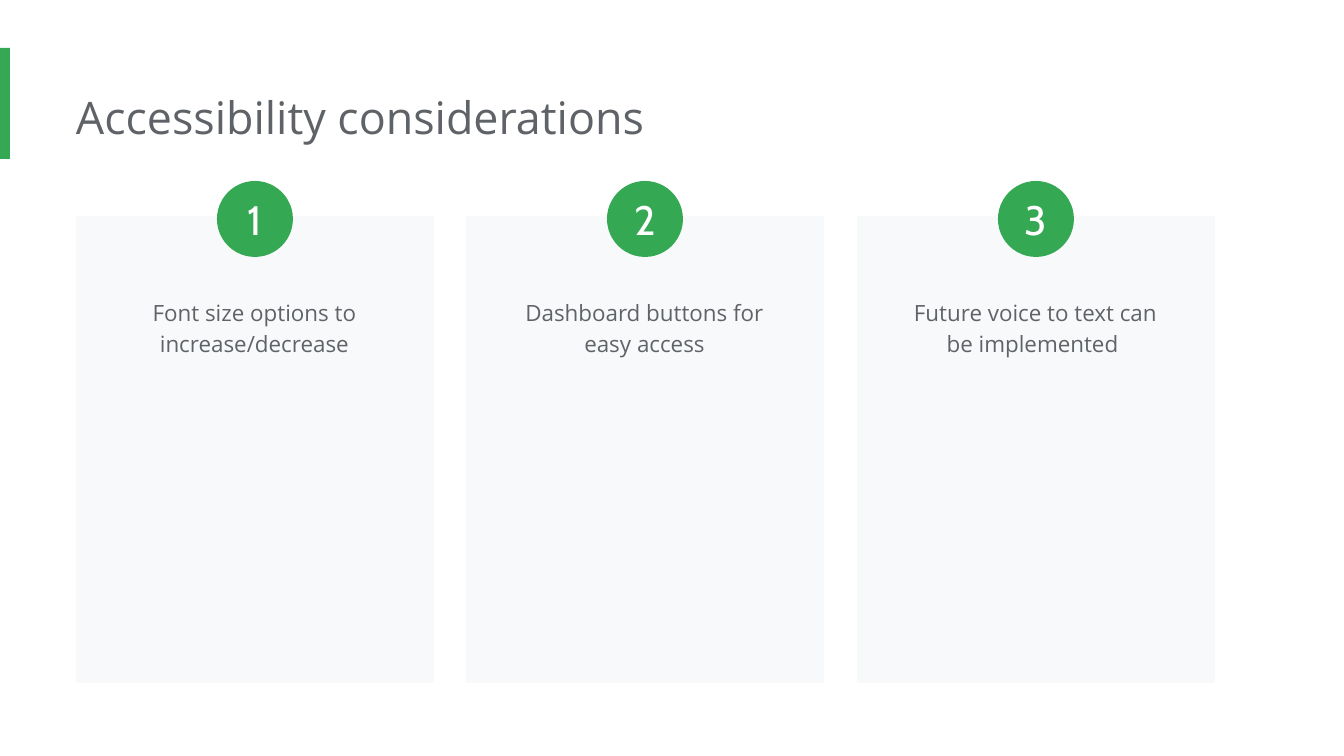
from dataclasses import dataclass
from pptx import Presentation
from pptx.dml.color import RGBColor
from pptx.enum.shapes import MSO_SHAPE
from pptx.enum.text import MSO_ANCHOR, MSO_AUTO_SIZE, PP_ALIGN
from pptx.util import Emu, Inches, Pt


@dataclass
class Theme:
    green: str = "34A853"
    grey: str = "5F6368"
    pale: str = "F8F9FA"
    white: str = "FFFFFF"
    sans: str = "Open Sans"
    digit: str = "Cabin"
    title: int = 24
    label: int = 12
    number: int = 22


theme = Theme()
SCALE = Inches(10) / 1344


def px(*sizes):
    return [Emu(round(size * SCALE)) for size in sizes]


def block(kind, box, color):
    shape = slide.shapes.add_shape(kind, *px(*box))
    shape.shadow.inherit = False
    shape.fill.solid()
    shape.fill.fore_color.rgb = RGBColor.from_string(color)
    shape.line.fill.background()
    return shape


deck = Presentation()
deck.slide_width, deck.slide_height = px(1344, 756)
slide = deck.slides.add_slide(deck.slide_layouts[5])
texts = []

# Accent bar
block(MSO_SHAPE.RECTANGLE, (0, 48, 10, 111), theme.green)

# Title
title = slide.shapes.title
title.left, title.top, title.width, title.height = px(76, 77, 1030, 82)
texts.append((title, "Accessibility considerations", theme.sans, theme.title,
              theme.grey, PP_ALIGN.LEFT, MSO_ANCHOR.TOP, (0, 13, 13, 13), 1.0))

# Numbered cards
labels = [
    "Font size options to increase/decrease",
    "Dashboard buttons for easy access",
    "Future voice to text can be implemented ",
]
for index, label in enumerate(labels):
    left = 76 + index * 781 // 2
    block(MSO_SHAPE.RECTANGLE, (left, 216, 358, 467), theme.pale)
    note = slide.shapes.add_textbox(*px(left + 28, 282, 301, 90))
    badge = block(MSO_SHAPE.OVAL, (left + 141, 181, 76, 76), theme.green)
    texts.append((note, label, theme.sans, theme.label, theme.grey,
                  PP_ALIGN.CENTER, MSO_ANCHOR.TOP, (13, 13, 13, 13), 1.15))
    texts.append((badge, str(index + 1), theme.digit, theme.number, theme.white,
                  PP_ALIGN.CENTER, MSO_ANCHOR.MIDDLE, (0, 0, 0, 0), 1.0))

# Text of the title, labels and badges
for shape, words, face, size, color, align, anchor, inset, space in texts:
    frame = shape.text_frame
    frame.word_wrap = True
    frame.auto_size = MSO_AUTO_SIZE.NONE
    frame.vertical_anchor = anchor
    (frame.margin_left, frame.margin_top,
     frame.margin_right, frame.margin_bottom) = px(*inset)
    para = frame.paragraphs[0]
    para.alignment = align
    para.line_spacing = space
    run = para.add_run()
    run.text = words
    run.font.name = face
    run.font.size = Pt(size)
    run.font.color.rgb = RGBColor.from_string(color)

deck.save("out.pptx")
